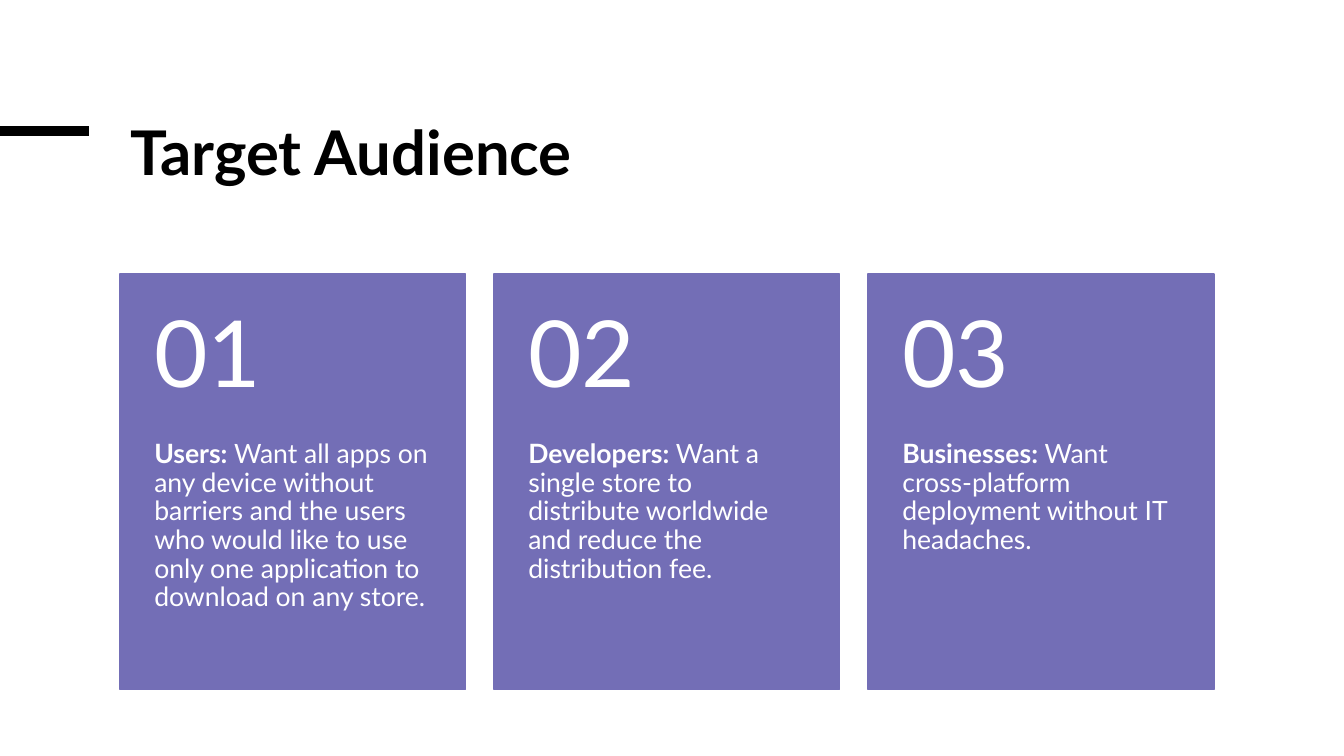
from pptx import Presentation
from pptx.dml.color import RGBColor
from pptx.enum.shapes import MSO_CONNECTOR, MSO_SHAPE
from pptx.enum.text import MSO_ANCHOR, MSO_AUTO_SIZE, PP_ALIGN
from pptx.oxml.ns import qn
from pptx.util import Inches, Pt
from lxml.etree import SubElement

# Content
TITLE = "Target Audience"
AUDIENCES = [
    ("Users:", " Want all apps on any device without barriers and the users "
               "who would like to use only one application to download on any store."),
    ("Developers:", " Want a single store to distribute worldwide "
                    "and reduce the distribution fee."),
    ("Businesses:", " Want cross-platform deployment without IT headaches."),
]

# Style
FONT = "Lato"
BLACK = RGBColor(0x00, 0x00, 0x00)
WHITE = RGBColor(0xFF, 0xFF, 0xFF)
PURPLE = RGBColor(0x73, 0x6E, 0xB6)

# Grid, in inches
LEFT, CONTENT_WIDTH = 1.19, 10.85
CARD_TOP, CARD_HEIGHT, CARD_WIDTH = 2.72, 4.12, 3.43
CARD_STEP = (CONTENT_WIDTH - CARD_WIDTH) / (len(AUDIENCES) - 1)
NUMBER_HEIGHT = CARD_HEIGHT * 0.4
PADDING = 0.34


def set_font(paragraph, size, color, spacing):
    paragraph.alignment = PP_ALIGN.LEFT
    paragraph.line_spacing = spacing
    paragraph.font.name = FONT
    paragraph.font.size = Pt(size)
    paragraph.font.color.rgb = color


def add_card_text(slide, left, top, height, margins, anchor, size, runs):
    box = slide.shapes.add_textbox(
        Inches(left), Inches(top), Inches(CARD_WIDTH), Inches(height))
    frame = box.text_frame
    frame.word_wrap = True
    frame.vertical_anchor = anchor
    frame.margin_left = frame.margin_right = Inches(PADDING)
    frame.margin_top, frame.margin_bottom = map(Inches, margins)
    paragraph = frame.paragraphs[0]
    set_font(paragraph, size, WHITE, 0.9)
    for text, bold in runs:
        run = paragraph.add_run()
        run.text = text
        run.font.bold = bold


presentation = Presentation()
presentation.slide_width = Inches(13.33)
presentation.slide_height = Inches(7.5)
slide = presentation.slides.add_slide(presentation.slide_layouts[5])

# Accent line
accent = slide.shapes.add_connector(
    MSO_CONNECTOR.STRAIGHT, 0, Inches(1.3), Inches(0.88), Inches(1.3))
accent.line.color.rgb = BLACK
accent.line.width = Pt(6.75)
SubElement(accent._element.spPr, qn("a:effectLst"))

# Title
title = slide.shapes.title
title.left, title.top = Inches(LEFT), Inches(1.19)
title.width, title.height = Inches(CONTENT_WIDTH), Inches(1.42)
title.text_frame.text = TITLE
title.text_frame.auto_size = MSO_AUTO_SIZE.NONE
title.text_frame.vertical_anchor = MSO_ANCHOR.TOP
heading = title.text_frame.paragraphs[0]
set_font(heading, 44, BLACK, 0.85)
heading.font.bold = True

# Numbered cards
for index, (name, need) in enumerate(AUDIENCES):
    left = LEFT + index * CARD_STEP
    card = slide.shapes.add_shape(
        MSO_SHAPE.RECTANGLE, Inches(left), Inches(CARD_TOP),
        Inches(CARD_WIDTH), Inches(CARD_HEIGHT))
    card.shadow.inherit = False
    card.fill.solid()
    card.fill.fore_color.rgb = PURPLE
    card.line.color.rgb = PURPLE
    card.line.width = Pt(1)
    add_card_text(slide, left, CARD_TOP + NUMBER_HEIGHT, CARD_HEIGHT - NUMBER_HEIGHT,
                  (0, 0.36), MSO_ANCHOR.TOP, 19, [(name, True), (need, False)])
    add_card_text(slide, left, CARD_TOP, NUMBER_HEIGHT, (0.18, 0.18),
                  MSO_ANCHOR.MIDDLE, 66, [(f"{index + 1:02d}", False)])

presentation.save("out.pptx")
